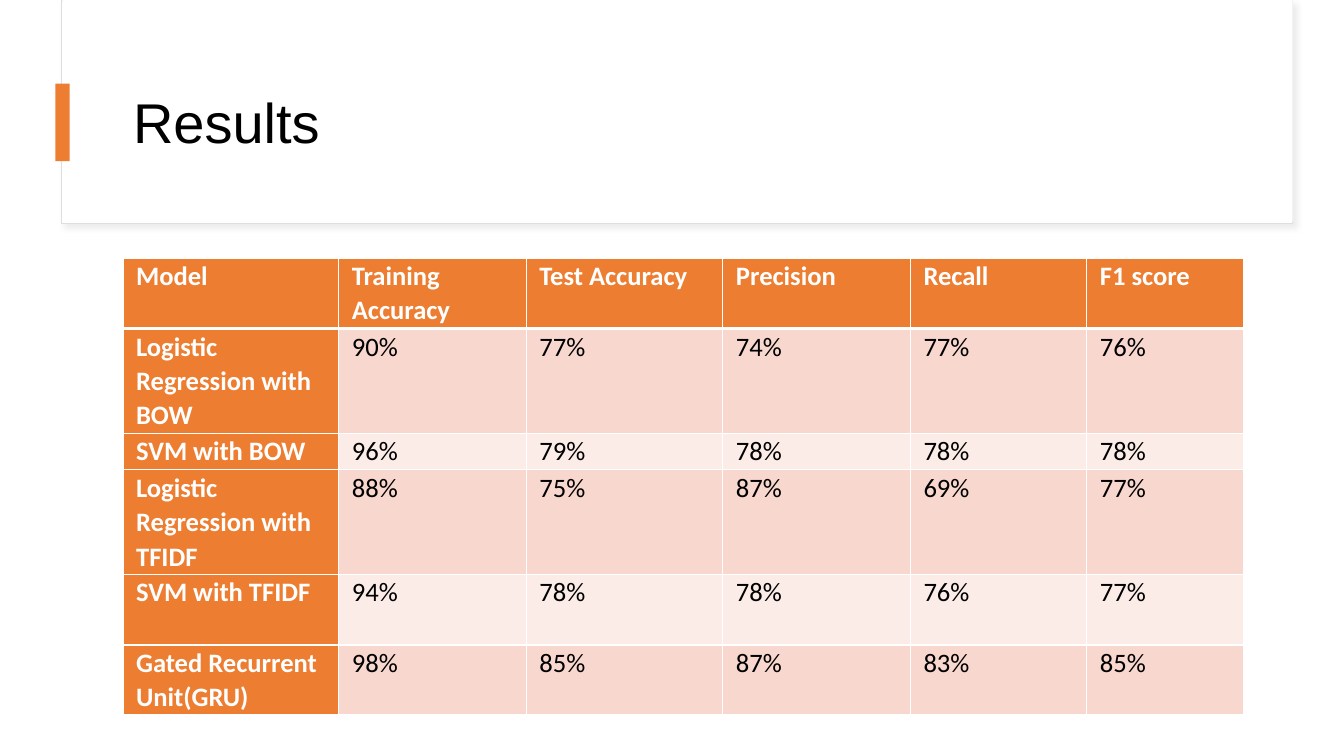
from lxml.etree import SubElement
from pptx import Presentation
from pptx.dml.color import RGBColor
from pptx.enum.shapes import MSO_SHAPE as Shape
from pptx.enum.text import MSO_ANCHOR as Anchor, PP_ALIGN as Align
from pptx.oxml.ns import qn
from pptx.util import Pt

PX = 9144
COLORS = {
    "white": "FFFFFF", "black": "000000", "orange": "ED7D31", "outline": "DEDEDE",
    "shadow": "D9D9D9", "dark band": "F8D7CE", "light band": "FCECE8",
}
COLUMN_WIDTHS = [214, 186, 195, 186, 175, 155]
ROW_HEIGHTS = [70, 104, 36, 104, 70, 69]
RESULTS = [
    ["Model", "Training Accuracy", "Test Accuracy", "Precision", "Recall", "F1 score"],
    ["Logistic Regression with BOW", "90%", "77%", "74%", "77%", "76%"],
    ["SVM with BOW", "96%", "79%", "78%", "78%", "78%"],
    ["Logistic Regression with TFIDF", "88%", "75%", "87%", "69%", "77%"],
    ["SVM with TFIDF", "94%", "78%", "78%", "76%", "77%"],
    ["Gated Recurrent Unit(GRU)", "98%", "85%", "87%", "83%", "85%"],
]


def color(name):
    return RGBColor.from_string(COLORS[name])


def add_block(page, bounds, fill):
    block = page.shapes.add_shape(Shape.RECTANGLE, *[PX * length for length in bounds])
    block.shadow.inherit = False
    block.fill.solid()
    block.fill.fore_color.rgb = color(fill)
    block.line.fill.background()
    return block


deck = Presentation()
deck.slide_width, deck.slide_height = 1333 * PX, 750 * PX
page = deck.slides.add_slide(deck.slide_layouts[5])

title = page.shapes.title
title.left, title.top, title.width, title.height = 122 * PX, 60 * PX, 1112 * PX, 129 * PX
title.text_frame.text = "Results"
title.text_frame.vertical_anchor = Anchor.MIDDLE
heading = title.text_frame.paragraphs[0]
heading.alignment = Align.LEFT
heading.line_spacing = 0.9
heading.font.name = "Arial"
heading.font.size = Pt(40)
heading.font.color.rgb = color("black")

frame = add_block(page, (61, 1, 1221, 221), "white")
frame.line.color.rgb = color("outline")
frame.line.width = Pt(0.75)
effects = frame.element.spPr.find(qn("a:effectLst"))
shadow = SubElement(effects, qn("a:outerShdw"), blurRad=str(Pt(4)), dist=str(Pt(3)),
                    dir=str(45 * 60000), algn="tl", rotWithShape="0")
tint = SubElement(shadow, qn("a:srgbClr"), val=COLORS["shadow"])
SubElement(tint, qn("a:alpha"), val="50000")
panel = add_block(page, (62, 0, 1220, 220), "white")
for backdrop in (frame, panel):
    title.element.addprevious(backdrop.element)

add_block(page, (55, 83, 14, 77), "orange")

table = page.shapes.add_table(
    len(RESULTS), len(COLUMN_WIDTHS), 122 * PX, 256 * PX,
    sum(COLUMN_WIDTHS) * PX, sum(ROW_HEIGHTS) * PX).table
for column, width in zip(table.columns, COLUMN_WIDTHS):
    column.width = width * PX
for row, height in zip(table.rows, ROW_HEIGHTS):
    row.height = height * PX

for row_index, values in enumerate(RESULTS):
    for column_index, value in enumerate(values):
        cell = table.cell(row_index, column_index)
        is_header = row_index == 0 or column_index == 0
        band = "dark band" if row_index % 2 else "light band"
        cell.margin_left = cell.margin_right = 13 * PX
        cell.margin_top = cell.margin_bottom = 0

        properties = cell._tc.get_or_add_tcPr()
        for side in "LRTB":
            is_thick = (row_index, side) in [(0, "B"), (1, "T")]
            border = SubElement(properties, qn(f"a:ln{side}"), w=str(Pt(3 if is_thick else 1)))
            solid = SubElement(border, qn("a:solidFill"))
            SubElement(solid, qn("a:srgbClr"), val=COLORS["white"])

        cell.fill.solid()
        cell.fill.fore_color.rgb = color("orange" if is_header else band)
        cell.text = value
        para = cell.text_frame.paragraphs[0]
        para.line_spacing = 1.07
        para.space_after = Pt(8)
        para.font.name = "Calibri"
        para.font.size = Pt(19)
        para.font.bold = is_header
        para.font.color.rgb = color("white" if is_header else "black")

deck.save("out.pptx")
